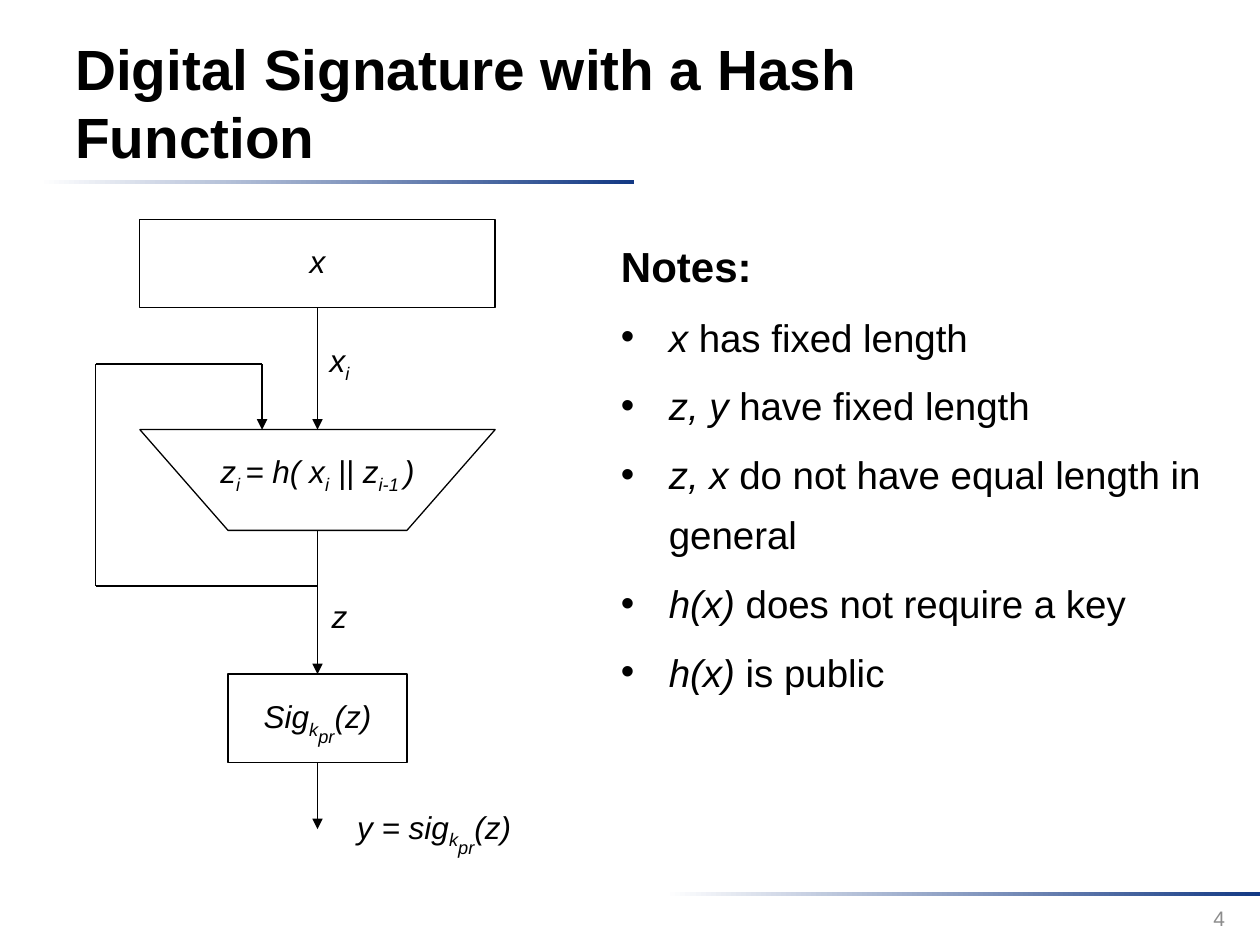
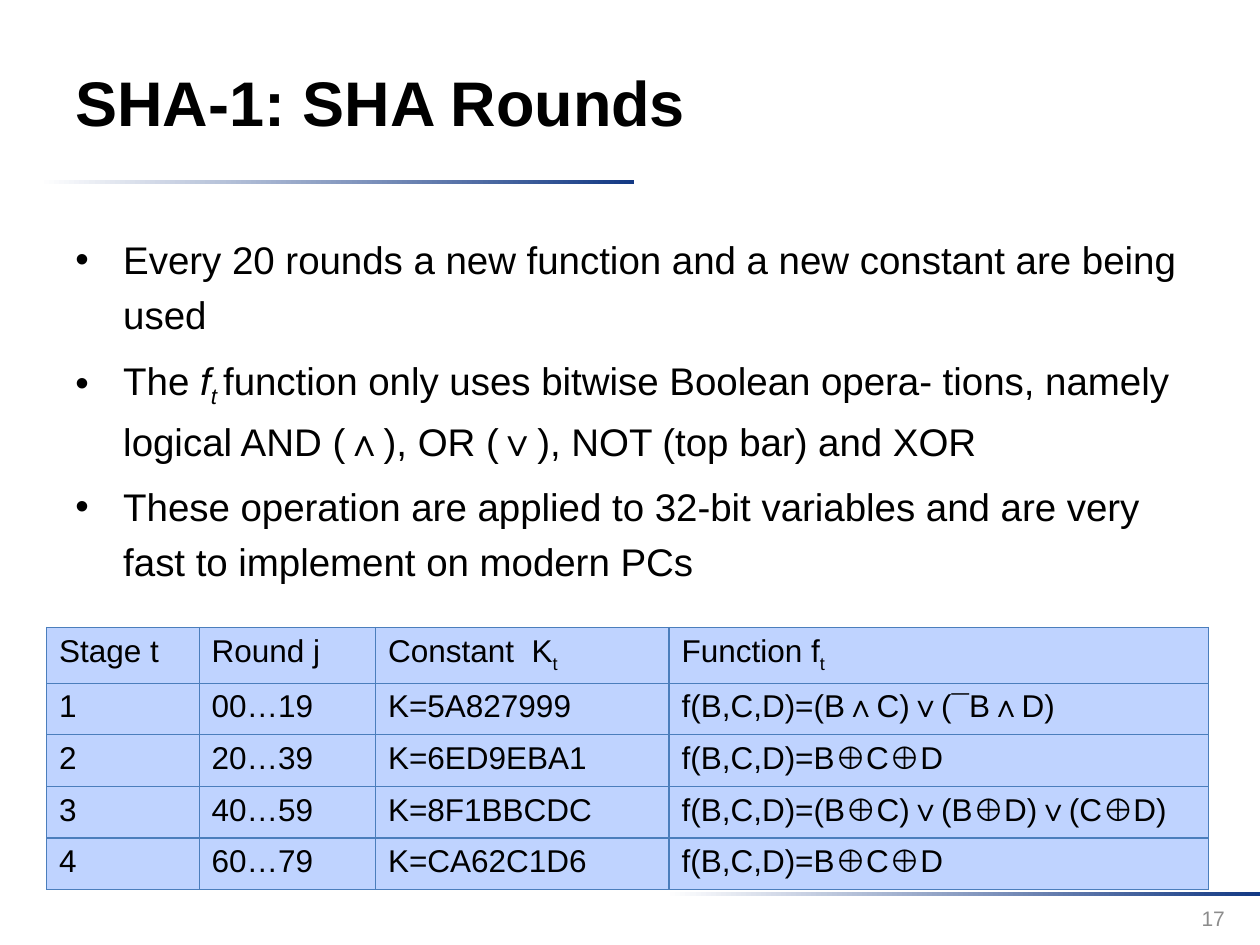
from pptx import Presentation
from pptx import util as u
from pptx.dml.color import RGBColor
from pptx.enum import shapes, text
from pptx.oxml.ns import qn
from lxml import etree

Inches, Pt = u.Inches, u.Pt
FONT = "Arial"
BLACK, WHITE, NAVY, GREY = "000000", "FFFFFF", "133984", "8C8C8C"
CELL, BORDER = "BFD3FF", "4B7EBC"
ITALIC = {"italic": True}
SUB, SUBSUB = {"baseline": -25000}, {"baseline": -50000}
INDENT = 0.38


def color(hex_value):
    return RGBColor.from_string(hex_value)


def child(parent, tag, **attrs):
    el = etree.SubElement(parent, qn(tag))
    for name, value in attrs.items():
        el.set(name, str(value))
    return el


def add_runs(p, parts, size=18, hex_value=BLACK, **formats):
    for part in [parts] if isinstance(parts, str) else parts:
        words, extra = (part, {}) if isinstance(part, str) else part
        values = {"name": FONT, "size": Pt(size), **formats, **extra}
        baseline = values.pop("baseline", None)
        r = p.add_run()
        r.text = words
        r.font.color.rgb = color(hex_value)
        for name, value in values.items():
            setattr(r.font, name, value)
        if baseline:
            r._r.get_or_add_rPr().set("baseline", str(baseline))


def add_box(s, x, y, w, h, **formats):
    tb = s.shapes.add_textbox(Inches(x), Inches(y), Inches(w), Inches(h))
    tf = tb.text_frame
    for name, value in {"word_wrap": True, **formats}.items():
        setattr(tf, name, value)
    return tf


def add_band(s, x, y):
    sp = s.shapes.add_shape(shapes.MSO_SHAPE.RECTANGLE, Inches(x), Inches(y), Inches(4.72), Inches(0.03))
    sp.shadow.inherit = False
    sp.line.fill.background()
    sp.fill.gradient()
    sp.fill.gradient_angle = 0
    for stop, hex_value in zip(sp.fill.gradient_stops, (WHITE, NAVY)):
        stop.color.rgb = color(hex_value)


def add_slide(prs, title, title_size, number):
    s = prs.slides.add_slide(prs.slide_layouts[6])
    add_band(s, 0.31, 1.43)
    add_band(s, 5.28, 7.08)
    middle = {"vertical_anchor": text.MSO_ANCHOR.MIDDLE}
    tf = add_box(s, 0.5, 0.18, 7.73, 1.25, **middle)
    add_runs(tf.paragraphs[0], title, title_size, bold=True)
    p = add_box(s, 7.49, 7.09, 2.33, 0.4, **middle).paragraphs[0]
    p.alignment = text.PP_ALIGN.RIGHT
    add_runs(p, number, 12, GREY)
    return s


def add_body(s, x, y, w, bullets, spacing, heading=None):
    tf = add_box(s, x, y, w, 4.95)
    items = ([heading] if heading else []) + bullets
    for i, parts in enumerate(items):
        p = tf.paragraphs[0] if i == 0 else tf.add_paragraph()
        p.line_spacing = spacing
        p.space_before = Pt(5)
        if parts is heading:
            add_runs(p, parts, 24, bold=True)
            continue
        pPr = p._p.get_or_add_pPr()
        pPr.set("marL", str(Inches(INDENT)))
        pPr.set("indent", str(-Inches(INDENT)))
        child(pPr, "a:buFont", typeface=FONT)
        child(pPr, "a:buChar", char="•")
        add_runs(p, parts, 22)


def outline(sp):
    sp.shadow.inherit = False
    sp.fill.background()
    sp.line.color.rgb = color(BLACK)
    sp.line.width = Pt(0.75)
    return sp


def add_block(s, x, y, w, h):
    return outline(s.shapes.add_shape(
        shapes.MSO_SHAPE.RECTANGLE, Inches(x), Inches(y), Inches(w), Inches(h)))


def add_outline(s, points):
    pts = [(Inches(x), Inches(y)) for x, y in points]
    fb = s.shapes.build_freeform(*pts[0])
    fb.add_line_segments(pts[1:], close=True)
    return outline(fb.convert_to_shape())


def add_label(s, x, y, w, parts):
    tf = add_box(s, x, y, w, 0.34, margin_left=0, margin_right=0, margin_top=0,
                 margin_bottom=0, auto_size=text.MSO_AUTO_SIZE.SHAPE_TO_FIT_TEXT)
    p = tf.paragraphs[0]
    p.alignment = text.PP_ALIGN.CENTER
    add_runs(p, parts, **ITALIC)


def add_line(s, start, end, arrow=False, source=None, target=None):
    c = s.shapes.add_connector(
        shapes.MSO_CONNECTOR.STRAIGHT, *[Inches(v) for v in (*start, *end)])
    c.line.color.rgb = color(BLACK)
    c.line.width = Pt(0.75)
    if arrow:
        child(c.line._get_or_add_ln(), "a:tailEnd", type="triangle")
    child(c._element.spPr, "a:effectLst")
    if source:
        c.begin_connect(source, 2)
    if target:
        c.end_connect(target, 0)


def add_grid(s, x, y, widths, row_height, rows):
    frame = s.shapes.add_table(len(rows), len(widths), Inches(x), Inches(y),
                               Inches(sum(widths)), Inches(row_height * len(rows)))
    table = frame.table
    for column, width in zip(table.columns, widths):
        column.width = Inches(width)
    for i, row in enumerate(rows):
        table.rows[i].height = Inches(row_height)
        for j, parts in enumerate(row):
            cell = table.cell(i, j)
            add_runs(cell.text_frame.paragraphs[0], parts)
            tcPr = cell._tc.get_or_add_tcPr()
            for side in "LRTB":
                ln = child(tcPr, "a:ln" + side, w=Pt(0.75))
                child(child(ln, "a:solidFill"), "a:srgbClr", val=BORDER)
            cell.fill.solid()
            cell.fill.fore_color.rgb = color(CELL)


def signature_slide(prs):
    s = add_slide(prs, "Digital Signature with a Hash Function", 32.4, "4")
    add_body(s, 4.83, 1.74, 4.99, [
        [("x ", ITALIC), "has fixed length"],
        [("z, y", ITALIC), " have fixed length"],
        [("z, x ", ITALIC), "do not have equal length in general"],
        [("h(x)", ITALIC), " does not require a key"],
        [("h(x)", ITALIC), " is public"],
    ], 1.3, "Notes:")

    mid, left, width = 2.52, 1.11, 2.82
    hash_top, hash_bottom = 3.41, 4.21
    sig_left, sig_width = 1.81, 1.42
    loop_x, loop_top, loop_bottom, loop_end = 0.76, 2.89, 4.65, 2.08
    key = [("k", SUB), ("pr", SUBSUB), "(z)"]

    message = add_block(s, left, 1.74, width, 0.7)
    add_label(s, left, 1.92, width, "x")
    add_outline(s, [(left, hash_top), (sig_left, hash_bottom),
                    (sig_left + sig_width, hash_bottom), (left + width, hash_top)])
    add_label(s, left, 3.59, width, [
        "z", ("i ", SUB), "= h( x", ("i", SUB), " || z", ("i-1 ", SUB), ")"])
    signature = add_block(s, sig_left, 5.35, sig_width, 0.7)
    add_label(s, sig_left, 5.53, sig_width, ["Sig", *key])

    add_line(s, (mid, 2.44), (mid, hash_top), True, source=message)
    add_line(s, (mid, hash_bottom), (mid, 5.35), True, target=signature)
    add_line(s, (mid, 6.05), (mid, 6.58), True, source=signature)
    loop = [(mid, loop_bottom), (loop_x, loop_bottom), (loop_x, loop_top),
            (loop_end, loop_top), (loop_end, hash_top)]
    for start, end in zip(loop, loop[1:]):
        add_line(s, start, end, arrow=end == loop[-1])

    add_label(s, 2.43, 2.71, 0.53, ["x", ("i", SUB)])
    add_label(s, 2.43, 4.74, 0.53, "z")
    add_label(s, mid, 6.41, 1.85, ["y = sig", *key])


def rounds_slide(prs):
    s = add_slide(prs, "SHA-1: SHA Rounds", 36, "17")
    add_grid(s, 0.37, 4.98, [1.21, 1.4, 2.33, 4.28], 0.41, [
        ["Stage t", "Round j", ["Constant  K", ("t", SUB)], ["Function f", ("t", SUB)]],
        ["1", "00…19", "K=5A827999", "f(B,C,D)=(B∧C)∨(¯B∧D)"],
        ["2", "20…39", "K=6ED9EBA1", "f(B,C,D)=B⊕C⊕D"],
        ["3", "40…59", "K=8F1BBCDC", "f(B,C,D)=(B⊕C)∨(B⊕D)∨(C⊕D)"],
        ["4", "60…79", "K=CA62C1D6", "f(B,C,D)=B⊕C⊕D"],
    ])
    add_body(s, 0.5, 1.75, 9, [
        "Every 20 rounds a new function and a new constant are being used",
        ["The ", ("f", ITALIC), ("t ", {**ITALIC, **SUB}),
         "function only uses bitwise Boolean opera- tions, namely logical "
         "AND (∧), OR (∨), NOT (top bar) and XOR"],
        "These operation are applied to 32-bit variables and are very fast "
        "to implement on modern PCs",
    ], 1.2)


def main():
    prs = Presentation()
    prs.slide_width, prs.slide_height = Inches(10), Inches(7.5)
    signature_slide(prs)
    rounds_slide(prs)
    prs.save("out.pptx")


if __name__ == "__main__":
    main()
